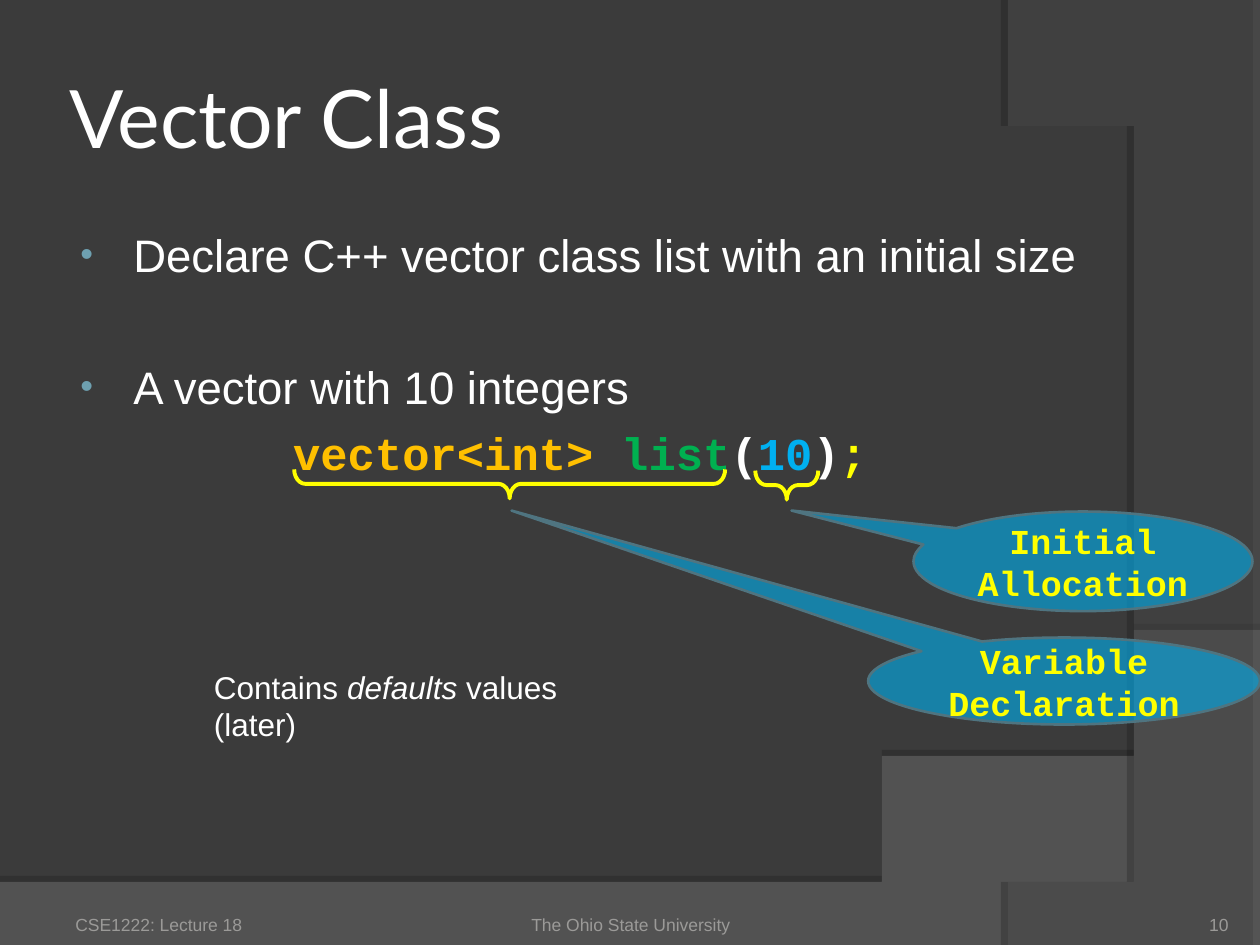
from lxml.etree import SubElement
from pptx import Presentation
from pptx.dml.color import RGBColor
from pptx.enum.shapes import MSO_SHAPE as Shape
from pptx.enum.text import MSO_ANCHOR as Anchor, PP_ALIGN as Align
from pptx.oxml.ns import qn
from pptx.util import Inches, Pt

BACKGROUND = RGBColor(0x3B, 0x3B, 0x3B)
LOWER_SWOOSH = RGBColor(0x7C, 0x7C, 0x7C)
RIGHT_SWOOSH = RGBColor(0x59, 0x59, 0x59)
WHITE = RGBColor(0xFF, 0xFF, 0xFF)
FOOTER_GRAY = RGBColor(0x9B, 0x9A, 0x98)
BULLET_BLUE = RGBColor(0x6E, 0xA0, 0xB0)
CALLOUT_EDGE = RGBColor(0x4F, 0x74, 0x80)
AMBER = RGBColor(0xFF, 0xC0, 0x00)
GREEN = RGBColor(0x00, 0xB0, 0x50)
CYAN = RGBColor(0x00, 0xB0, 0xF0)
YELLOW = RGBColor(0xFF, 0xFF, 0x00)

SANS, MONO, HEADING = "Arial", "Courier New", "Lato"


def curve_points(start, control_1, control_2, end, steps=60):
    """Points along a cubic Bezier curve, without its start."""
    points = []
    for step in range(1, steps + 1):
        t = step / steps
        weights = ((1 - t) ** 3, 3 * t * (1 - t) ** 2, 3 * t * t * (1 - t), t ** 3)
        points.append(tuple(
            sum(weight * value for weight, value in zip(weights, axis))
            for axis in zip(start, control_1, control_2, end)))
    return points


def add_bullet(para):
    properties = para._p.get_or_add_pPr()
    color = SubElement(properties, qn("a:buClr"))
    SubElement(color, qn("a:srgbClr"), val=str(BULLET_BLUE))
    SubElement(properties, qn("a:buSzPct"), val="80000")
    SubElement(properties, qn("a:buFont"), typeface=SANS)
    SubElement(properties, qn("a:buChar"), char="•")


class SlideBuilder:
    def __init__(self, page):
        self.page = page
        self.shapes = page.shapes
        page.background.fill.solid()
        page.background.fill.fore_color.rgb = BACKGROUND

    def style(self, font, size, color, name=SANS, bold=False):
        font.size, font.name, font.bold = Pt(size), name, bold
        font.color.rgb = color

    def fill(self, shape, color, opacity):
        shape.fill.solid()
        shape.fill.fore_color.rgb = color
        tint = shape.fill._xPr.find(qn("a:solidFill"))[0]
        SubElement(tint, qn("a:alpha"), val=str(opacity * 1000))

    def swoosh(self, points, color, opacity, shadow_opacity, distance, angle):
        outline = self.shapes.build_freeform(
            *points[0], scale=Inches(1))
        outline.add_line_segments(points[1:], close=True)
        shape = outline.convert_to_shape()
        self.fill(shape, color, opacity)
        shape.line.fill.background()
        shape.shadow.inherit = False
        effects = shape._element.spPr.find(qn("a:effectLst"))
        shadow = SubElement(effects, qn("a:outerShdw"), blurRad="0",
                            dist=str(Pt(distance)), dir=str(angle * 60000),
                            algn="ctr", rotWithShape="0")
        shade = SubElement(shadow, qn("a:srgbClr"), val="000000")
        SubElement(shade, qn("a:alpha"), val=str(shadow_opacity * 1000))

    def text(self, place, content, size, color=WHITE, name=SANS, align=Align.LEFT,
             anchor=Anchor.TOP, insets=(0.1, 0.05, 0.1, 0.05), wrap=True):
        box = self.shapes.add_textbox(*map(Inches, place))
        frame = box.text_frame
        frame.text = content
        frame.word_wrap = wrap
        frame.vertical_anchor = anchor
        (frame.margin_left, frame.margin_top,
         frame.margin_right, frame.margin_bottom) = map(Inches, insets)
        for para in frame.paragraphs:
            para.alignment = align
            for span in para.runs:
                self.style(span.font, size, color, name)
        return frame

    def body(self, place, bullets, code):
        frame = self.text(place, "\n".join(bullets), 26)
        for para in frame.paragraphs:
            add_bullet(para)
        frame.paragraphs[1].space_before = Pt(44.5)
        para = frame.add_paragraph()
        para.alignment = Align.CENTER
        para.space_before = Pt(6.5)
        for content, color in code:
            span = para.add_run()
            span.text = content
            self.style(span.font, 26, color, MONO, bold=True)
        for para in frame.paragraphs:
            properties = para._p.get_or_add_pPr()
            properties.set("marL", str(Inches(0.46)))
            properties.set("indent", str(Inches(-0.42)))

    def callout(self, place, content, tip):
        """Ellipse callout; tip is the offset from its centre, in widths and heights."""
        shape = self.shapes.add_shape(Shape.OVAL_CALLOUT, *map(Inches, place))
        shape.shadow.inherit = False
        shape.adjustments[0], shape.adjustments[1] = tip
        self.fill(shape, CYAN, 60)
        shape.line.color.rgb = CALLOUT_EDGE
        shape.line.width = Pt(1.5)
        frame = shape.text_frame
        frame.text = content
        frame.word_wrap = True
        frame.vertical_anchor = Anchor.MIDDLE
        for para in frame.paragraphs:
            para.alignment = Align.CENTER
            for span in para.runs:
                self.style(span.font, 20, YELLOW, MONO, bold=True)

    def underbrace(self, place):
        shape = self.shapes.add_shape(Shape.LEFT_BRACE, *map(Inches, place))
        shape.shadow.inherit = False
        shape.rotation = 270
        shape.adjustments[0] = 0.39
        shape.fill.background()
        shape.line.color.rgb = YELLOW
        shape.line.width = Pt(2.25)


def main():
    deck = Presentation()
    deck.slide_width, deck.slide_height = Inches(10), Inches(7.5)
    builder = SlideBuilder(deck.slides.add_slide(deck.slide_layouts[6]))

    lower_edge = curve_points((10, 5.2), (5.59, 7.29), (3.91, 7.19), (0, 7.05))
    builder.swoosh([(0, 7.05), (0, 7.51), (10, 7.51), (10, 5.2), *lower_edge],
                   LOWER_SWOOSH, 45, 35, 3.5, 270)
    right_edge = curve_points((8.21, 7.5), (9.35, 6.19), (10.18, 3), (8, 0))
    builder.swoosh([(10, 0.02), (10, 7.5), (8.21, 7.5), *right_edge],
                   RIGHT_SWOOSH, 40, 45, 4, 180)

    builder.text((0.5, 0.3, 8.17, 1.25), "Vector Class", 46, name=HEADING,
                 anchor=Anchor.MIDDLE, insets=(0.05,) * 4)
    builder.body((0.5, 1.75, 8.17, 5.27),
                 ["Declare C++ vector class list with an initial size",
                  "A vector with 10 integers"],
                 [("vector<int> ", AMBER), ("list", GREEN), ("(", WHITE),
                  ("10", CYAN), (")", WHITE), (";", YELLOW)])

    footers = [
        (0.5, 2.33, "CSE1222: Lecture 18", Align.LEFT, (0.1, 0.05, 0.1, 0)),
        (3.42, 3.17, "The Ohio State University", Align.CENTER, (0, 0.05, 0, 0)),
        (8.92, 0.83, "10", Align.RIGHT, (0, 0, 0, 0)),
    ]
    for left, width, content, align, insets in footers:
        builder.text((left, 7.02, width, 0.4), content, 10, FOOTER_GRAY,
                     align=align, anchor=Anchor.BOTTOM, insets=insets)

    builder.callout((6.89, 5.06, 3.11, 0.69), "Variable Declaration", (-1.41, -1.96))
    builder.underbrace((3.93, 2.13, 0.23, 3.42))
    builder.callout((7.25, 4.06, 2.69, 0.79), "Initial\nAllocation", (-0.86, -0.51))
    builder.underbrace((6.13, 3.6, 0.23, 0.5))

    note = builder.text((1.6, 5.25, 3.64, 0.4), "Contains ", 18, wrap=False)
    for content, italic in (("defaults", True), (" values (later)", False)):
        span = note.paragraphs[0].add_run()
        span.text = content
        builder.style(span.font, 18, WHITE)
        span.font.italic = italic

    deck.save("out.pptx")


if __name__ == "__main__":
    main()
